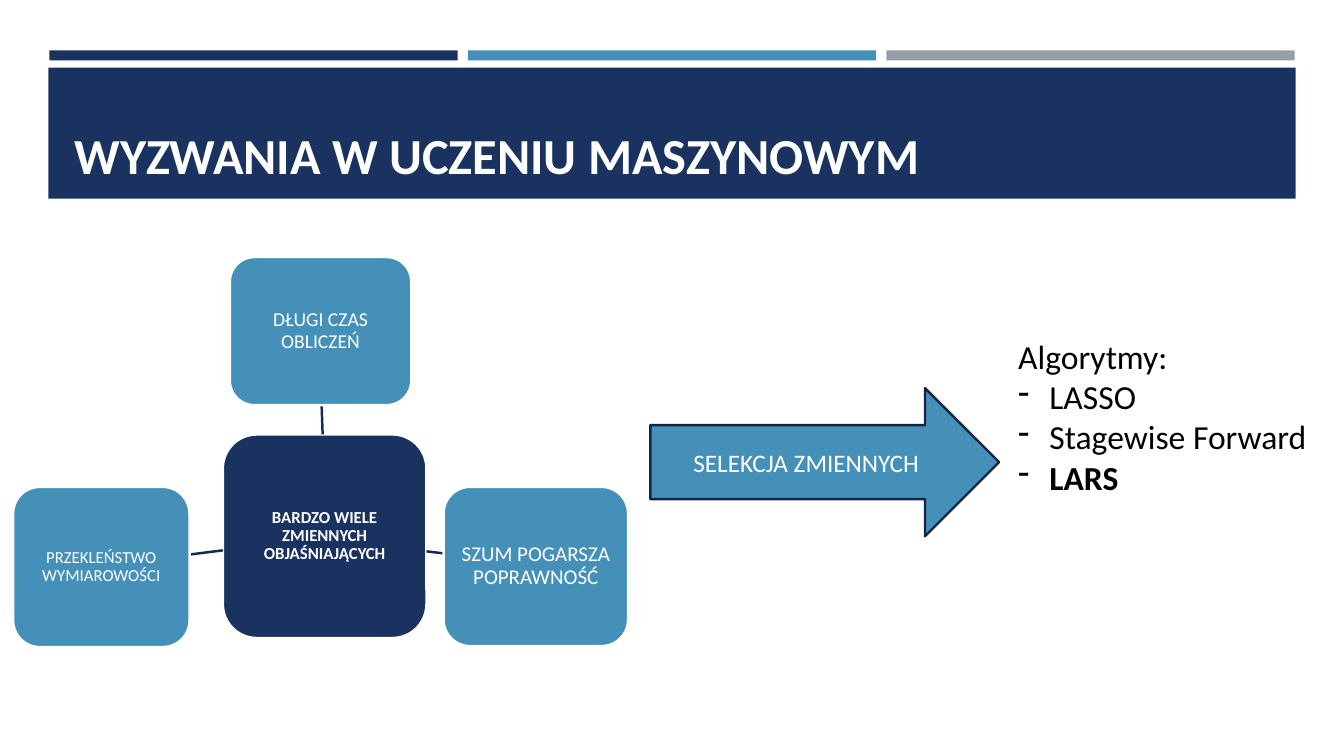
from lxml import etree
from pptx import Presentation
from pptx.dml.color import RGBColor
from pptx.enum.shapes import MSO_CONNECTOR, MSO_SHAPE
from pptx.enum.text import MSO_ANCHOR, PP_ALIGN
from pptx.oxml.ns import qn
from pptx.util import Inches, Pt

RECT, ROUNDED, ARROW = MSO_SHAPE.RECTANGLE, MSO_SHAPE.ROUNDED_RECTANGLE, MSO_SHAPE.RIGHT_ARROW
STRAIGHT = MSO_CONNECTOR.STRAIGHT
TOP, MIDDLE, BOTTOM = MSO_ANCHOR.TOP, MSO_ANCHOR.MIDDLE, MSO_ANCHOR.BOTTOM
LEFT, CENTER = PP_ALIGN.LEFT, PP_ALIGN.CENTER
NAVY, BLUE, GRAY, WHITE, BLACK = "1A3260", "4590B8", "969FA7", "FFFFFF", "000000"
SPOKE, ARROW_EDGE = "15284D", "132547"


def color(hex_code):
    """Turn a hex string into a colour."""
    return RGBColor.from_string(hex_code)


def add_block(slide, preset, box, fill, edge=None):
    """Add a filled shape, outlined only when an edge colour is given."""
    block = slide.shapes.add_shape(preset, *map(Inches, box))
    block.shadow.inherit = False
    block.fill.solid()
    block.fill.fore_color.rgb = color(fill)
    if edge:
        block.line.color.rgb = color(edge)
        block.line.width = Pt(1.75)
    else:
        block.line.fill.background()
    return block


def add_spoke(slide, start, end):
    """Join the hub to one of its problems."""
    spoke = slide.shapes.add_connector(STRAIGHT, *map(Inches, start + end))
    spoke.line.color.rgb = color(SPOKE)
    spoke.line.width = Pt(1.75)
    etree.SubElement(spoke._element.spPr, qn("a:effectLst"))


def prepare_frame(frame, anchor, inset=None):
    """Wrap the text and set its anchor and optional equal insets."""
    frame.word_wrap = True
    frame.vertical_anchor = anchor
    if inset is not None:
        frame.margin_left = frame.margin_right = Inches(inset)
        frame.margin_top = frame.margin_bottom = Inches(inset)


def write(paragraph, text, size, ink=WHITE, bold=False, align=CENTER, spacing=None):
    """Write formatted text into a paragraph."""
    run = paragraph.add_run()
    run.text = text
    run.font.name = "Calibri"
    run.font.size = Pt(size)
    run.font.bold = bold
    run.font.color.rgb = color(ink)
    paragraph.alignment = align
    if spacing:
        paragraph.line_spacing = spacing


def add_dash(paragraph):
    """Give a paragraph a hanging dash bullet."""
    properties = paragraph._p.get_or_add_pPr()
    properties.set("marL", str(Inches(0.31)))
    properties.set("indent", str(-Inches(0.31)))
    etree.SubElement(properties, qn("a:buFontTx"))
    etree.SubElement(properties, qn("a:buChar"), char="-")


def add_node(slide, box, text, size, fill=BLUE, bold=False, inset=0.04):
    """Add a rounded node of the problem diagram."""
    frame = add_block(slide, ROUNDED, box, fill, WHITE).text_frame
    prepare_frame(frame, MIDDLE, inset)
    write(frame.paragraphs[0], text, size, bold=bold, spacing=0.9)


def add_header(slide, title):
    """Add the three stripes and the title band."""
    for index, fill in enumerate((NAVY, BLUE, GRAY)):
        add_block(slide, RECT, (0.49 + index * 4.15, 0.5, 4.05, 0.1), fill)
    add_block(slide, RECT, (0.48, 0.67, 12.37, 1.3), NAVY)
    frame = slide.shapes.add_textbox(*map(Inches, (0.64, 0.77, 12.06, 1.11))).text_frame
    prepare_frame(frame, BOTTOM)
    write(frame.paragraphs[0], title, 36, bold=True, align=LEFT)


def add_problems(slide):
    """Add the hub with its three surrounding problems."""
    add_node(slide, (2.21, 4.31, 2.02, 2.02), "BARDZO WIELE ZMIENNYCH OBJAŚNIAJĄCYCH",
             12, fill=NAVY, bold=True, inset=0.03)
    problems = (
        ((2.28, 2.55, 1.8, 1.47), "DŁUGI CZAS OBLICZEŃ", 14, (3.2, 4.31), (3.19, 4.02)),
        ((4.4, 4.83, 1.83, 1.58), "SZUM POGARSZA POPRAWNOŚĆ", 15, (4.23, 5.47), (4.4, 5.49)),
        ((0.13, 4.83, 1.75, 1.59), "PRZEKLEŃSTWO WYMIAROWOŚCI", 12, (2.21, 5.46), (1.89, 5.5)),
    )
    for box, text, size, start, end in problems:
        add_spoke(slide, start, end)
        add_node(slide, box, text, size)


def add_selection(slide):
    """Add the arrow that leads to the algorithms."""
    frame = add_block(slide, ARROW, (6.45, 3.85, 3.46, 1.47), BLUE, ARROW_EDGE).text_frame
    prepare_frame(frame, MIDDLE)
    write(frame.paragraphs[0], "SELEKCJA ZMIENNYCH", 18)


def add_algorithms(slide):
    """Add the list of selection algorithms."""
    frame = slide.shapes.add_textbox(*map(Inches, (10, 3.28, 3.24, 2.05))).text_frame
    prepare_frame(frame, TOP)
    write(frame.paragraphs[0], "Algorytmy:", 24, ink=BLACK, align=LEFT)
    for algorithm in ("LASSO", "Stagewise Forward", "LARS"):
        item = frame.add_paragraph()
        write(item, algorithm, 24, ink=BLACK, bold=algorithm == "LARS", align=LEFT)
        add_dash(item)


def main():
    """Build and save the slide."""
    deck = Presentation()
    deck.slide_width, deck.slide_height = Inches(13.33), Inches(7.5)
    slide = deck.slides.add_slide(deck.slide_layouts[6])
    add_header(slide, "WYZWANIA W UCZENIU MASZYNOWYM")
    add_problems(slide)
    add_selection(slide)
    add_algorithms(slide)
    deck.save("out.pptx")


main()
